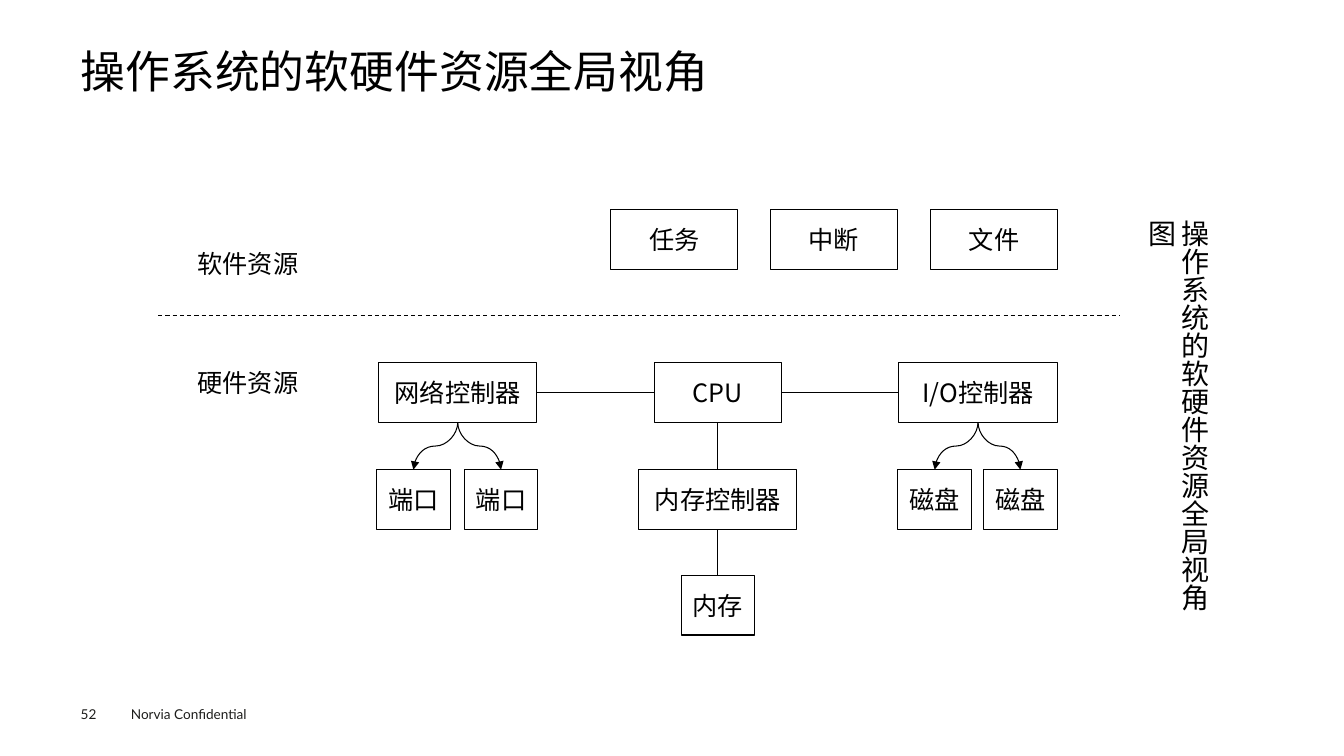
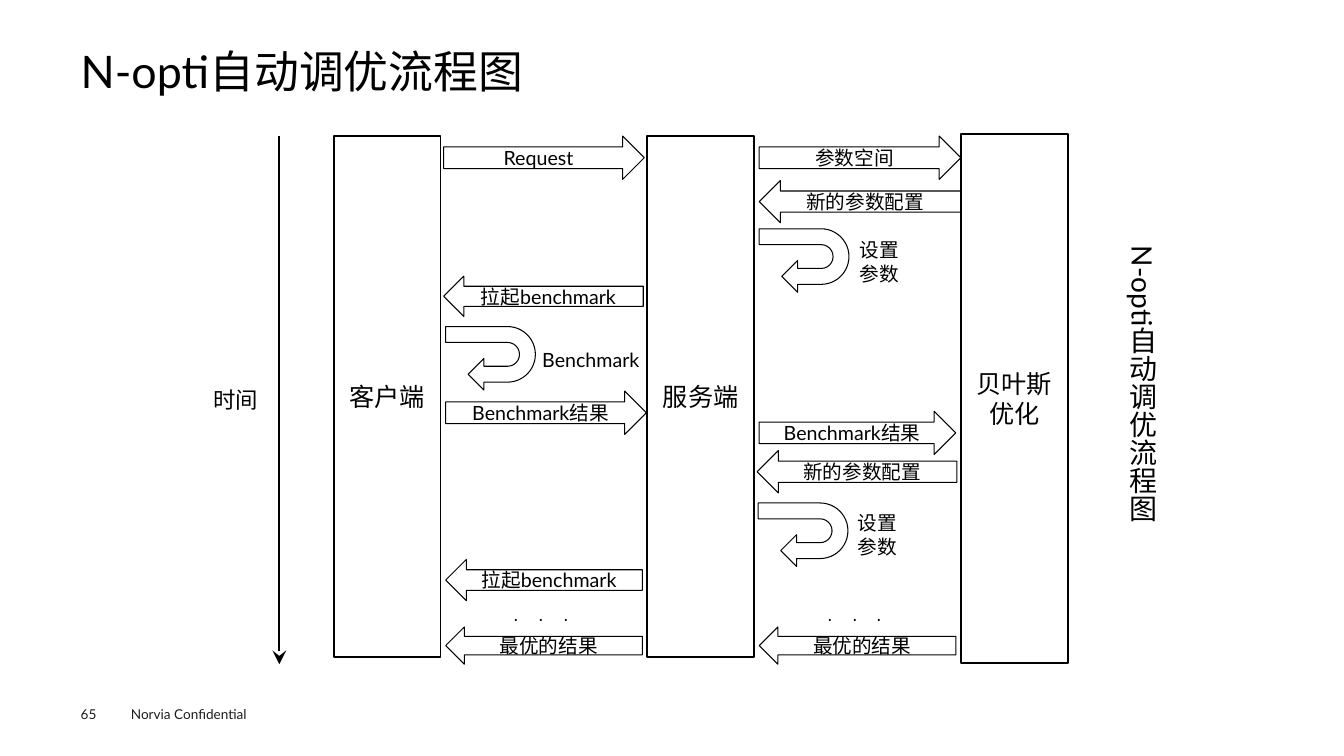
from lxml.etree import SubElement
from pptx import Presentation
from pptx.dml.color import RGBColor
from pptx.enum.dml import MSO_LINE
from pptx.enum.shapes import MSO_CONNECTOR, MSO_SHAPE
from pptx.enum.text import MSO_ANCHOR, PP_ALIGN
from pptx.oxml.ns import qn
from pptx.util import Inches, Pt

COLOURS = {"ink": "000000", "footer": "1D1D1B"}
LATIN, CJK = "Lato", "Noto Sans CJK SC"
CONFIDENTIAL = "Norvia Confidential"
TOP, LEFT, BOTTOM, RIGHT = range(4)

RESOURCE_TITLE = "操作系统的软硬件资源全局视角"
RESOURCE_CAPTION = "操作系统的软硬件资源全局视角图"
RESOURCE_HEIGHT = 0.59
RESOURCE_WIDTHS = {"small": 0.73, "medium": 1.26, "large": 1.57}
RESOURCE_ROWS = {
    2.08: [("task", "任务", 6.69, "medium"),
           ("interrupt", "中断", 8.27, "medium"),
           ("file", "文件", 9.86, "medium")],
    3.6: [("network", "网络控制器", 4.54, "large"),
          ("cpu", "CPU", 7.12, "medium"),
          ("io", "I/O控制器", 9.7, "large")],
    4.66: [("port 1", "端口", 4.1, "small"),
           ("port 2", "端口", 4.97, "small"),
           ("memory controller", "内存控制器", 7.12, "large"),
           ("disk 1", "磁盘", 9.27, "small"),
           ("disk 2", "磁盘", 10.12, "small")],
    5.71: [("memory", "内存", 7.12, "small")],
}
RESOURCE_LINKS = [
    ("network", RIGHT, "cpu", LEFT),
    ("cpu", RIGHT, "io", LEFT),
    ("cpu", BOTTOM, "memory controller", TOP),
    ("memory controller", BOTTOM, "memory", TOP),
]
RESOURCE_BRANCHES = [
    ("network", "port 1"), ("network", "port 2"),
    ("io", "disk 1"), ("io", "disk 2"),
]
RESOURCE_LAYERS = [("软件资源", 2.41), ("硬件资源", 3.59)]

TUNING_TITLE = "N-opti自动调优流程图"
PARTICIPANTS = [
    ("客户端", 3.31, 1.35, 5.17),
    ("服务端", 6.42, 1.35, 5.17),
    ("贝叶斯优化", 9.53, 1.33, 5.25),
]
MESSAGES = {
    MSO_SHAPE.RIGHT_ARROW: [
        ("Request", 4.4, 1.35, 1.99, 0.43),
        ("参数空间", 7.53, 1.35, 2, 0.43),
        ("Benchmark结果", 4.42, 3.88, 1.99, 0.43),
        ("Benchmark结果", 7.53, 4.08, 1.95, 0.43),
    ],
    MSO_SHAPE.LEFT_ARROW: [
        ("新的参数配置", 7.53, 1.79, 2, 0.42),
        ("拉起benchmark", 4.4, 2.74, 1.98, 0.4),
        ("新的参数配置", 7.51, 4.47, 1.98, 0.42),
        ("拉起benchmark", 4.42, 5.55, 1.95, 0.41),
        ("最优的结果", 4.42, 6.22, 1.95, 0.37),
        ("最优的结果", 7.53, 6.22, 1.95, 0.37),
    ],
}
SELF_CALLS = [(7.66, 2.14), (4.55, 3.11), (7.65, 4.86)]
STEP_NOTES = [
    ("设置参数", 8.43, 2.31, 0.69, 0.57),
    ("Benchmark", 5.28, 3.4, 1.33, 0.33),
    ("设置参数", 8.41, 5.02, 0.69, 0.57),
    ("﹒ ﹒ ﹒", 4.93, 5.92, 1, 0.33),
    ("﹒ ﹒ ﹒", 8.04, 5.92, 1, 0.33),
]


def colour(name):
    return RGBColor.from_string(COLOURS[name])


def write(frame, text, size, latin=LATIN, ink="ink", align=PP_ALIGN.LEFT):
    frame.word_wrap = True
    paragraph = frame.paragraphs[0]
    paragraph.text = text
    paragraph.alignment = align
    font = paragraph.font
    font.size, font.name = Pt(size), latin
    font.color.rgb = colour(ink)
    SubElement(font._rPr, qn("a:ea"), typeface=CJK)
    return paragraph


def set_margins(frame, inset):
    frame.margin_left = frame.margin_right = Inches(inset)
    frame.margin_top = frame.margin_bottom = Inches(inset)


def add_label(slide, text, box, size, latin=LATIN, ink="ink",
              anchor=MSO_ANCHOR.MIDDLE, inset=None, vertical=False):
    frame = slide.shapes.add_textbox(*map(Inches, box)).text_frame
    frame.vertical_anchor = anchor
    if inset is not None:
        set_margins(frame, inset)
    if vertical:
        frame._txBody.bodyPr.set("vert", "eaVert")
    return write(frame, text, size, latin, ink)


def add_caption(slide, text, box, latin=LATIN):
    add_label(slide, text, box, 20, latin, inset=0.05, vertical=True)


def add_outline(slide, kind, box, text="", size=18, weight=0.75, latin=LATIN):
    shape = slide.shapes.add_shape(kind, *map(Inches, box))
    shape.shadow.inherit = False
    shape.fill.background()
    shape.line.color.rgb = colour("ink")
    shape.line.width = Pt(weight)
    if text:
        frame = shape.text_frame
        frame.margin_top = frame.margin_bottom = 0
        frame.vertical_anchor = MSO_ANCHOR.MIDDLE
        write(frame, text, size, latin, align=PP_ALIGN.CENTER)
    return shape


def add_line(slide, start=(0, 0), end=(0, 0), weight=0.75,
             kind=MSO_CONNECTOR.STRAIGHT, head=None, head_size="med"):
    line = slide.shapes.add_connector(kind, *map(Inches, (*start, *end)))
    line.line.color.rgb = colour("ink")
    line.line.width = Pt(weight)
    if head:
        SubElement(line.line._get_or_add_ln(), qn("a:tailEnd"),
                   type=head, w=head_size, len=head_size)
    SubElement(line.element.spPr, qn("a:effectLst"))
    return line


def link(line, source, source_site, target, target_site):
    line.begin_connect(source, source_site)
    line.end_connect(target, target_site)


def add_branch(slide, parent, child):
    branch = add_line(slide, kind=MSO_CONNECTOR.CURVE, head="triangle")
    link(branch, parent, BOTTOM, child, TOP)
    start_x, end_x = parent.left + parent.width // 2, child.left + child.width // 2
    start_y, end_y = parent.top + parent.height, child.top
    drop, reach = end_y - start_y, abs(end_x - start_x)
    branch.left = (start_x + end_x - drop) // 2
    branch.top = (start_y + end_y - reach) // 2
    branch.width, branch.height = drop, reach
    rightward = end_x > start_x
    transform = branch.element.spPr.find(qn("a:xfrm"))
    transform.set("rot", str((270 if rightward else 90) * 60000))
    transform.set("flipH", "1" if rightward else "0")
    transform.set("flipV", "0")


def start_slide(deck, title, number):
    slide = deck.slides.add_slide(deck.slide_layouts[6])
    add_label(slide, CONFIDENTIAL, (1.2, 6.95, 1.6, 0.27), 9.7,
              ink="footer", anchor=MSO_ANCHOR.TOP)
    add_label(slide, str(number), (0.8, 7, 0.55, 0.16), 9.7,
              ink="footer", anchor=MSO_ANCHOR.TOP, inset=0)
    heading = add_label(slide, title, (0.8, 0.43, 11.73, 0.54), 32,
                        anchor=MSO_ANCHOR.BOTTOM, inset=0)
    heading.line_spacing = 0.9
    return slide


def build_resources(deck):
    slide = start_slide(deck, RESOURCE_TITLE, 52)
    resources = {}
    for top, row in RESOURCE_ROWS.items():
        for key, text, centre, size in row:
            width = RESOURCE_WIDTHS[size]
            box = (centre - width / 2, top, width, RESOURCE_HEIGHT)
            resources[key] = add_outline(slide, MSO_SHAPE.RECTANGLE, box,
                                         text, latin=CJK)
    divider = add_line(slide, (1.57, 3.13), (11.1, 3.13))
    divider.line.dash_style = MSO_LINE.DASH
    for text, top in RESOURCE_LAYERS:
        add_label(slide, text, (1.86, top, 1.22, 0.4), 18, CJK)
    add_caption(slide, RESOURCE_CAPTION, (11.42, 2.08, 0.53, 4.35), CJK)
    for source, source_site, target, target_site in RESOURCE_LINKS:
        link(add_line(slide), resources[source], source_site,
             resources[target], target_site)
    for parent, child in RESOURCE_BRANCHES:
        add_branch(slide, resources[parent], resources[child])


def build_tuning(deck):
    slide = start_slide(deck, TUNING_TITLE, 65)
    add_label(slide, "时间", (2.02, 3.78, 0.69, 0.37), 16)
    add_line(slide, (2.77, 1.35), (2.77, 6.59), 1.75,
             head="stealth", head_size="lg")
    for text, left, top, height in PARTICIPANTS:
        add_outline(slide, MSO_SHAPE.RECTANGLE, (left, top, 1.06, height),
                    text, weight=1.25)
    for direction, messages in MESSAGES.items():
        for text, *box in messages:
            add_outline(slide, direction, box, text, 14)
    for left, top in SELF_CALLS:
        turn = add_outline(slide, MSO_SHAPE.U_TURN_ARROW, (left, top, 0.63, 0.89))
        turn.rotation = 90
    for text, *box in STEP_NOTES:
        add_label(slide, text, box, 14)
    add_caption(slide, TUNING_TITLE, (11.07, 2.34, 0.53, 3.18))


def main():
    deck = Presentation()
    deck.slide_width, deck.slide_height = Inches(13.33), Inches(7.5)
    build_resources(deck)
    build_tuning(deck)
    deck.save("out.pptx")


if __name__ == "__main__":
    main()
